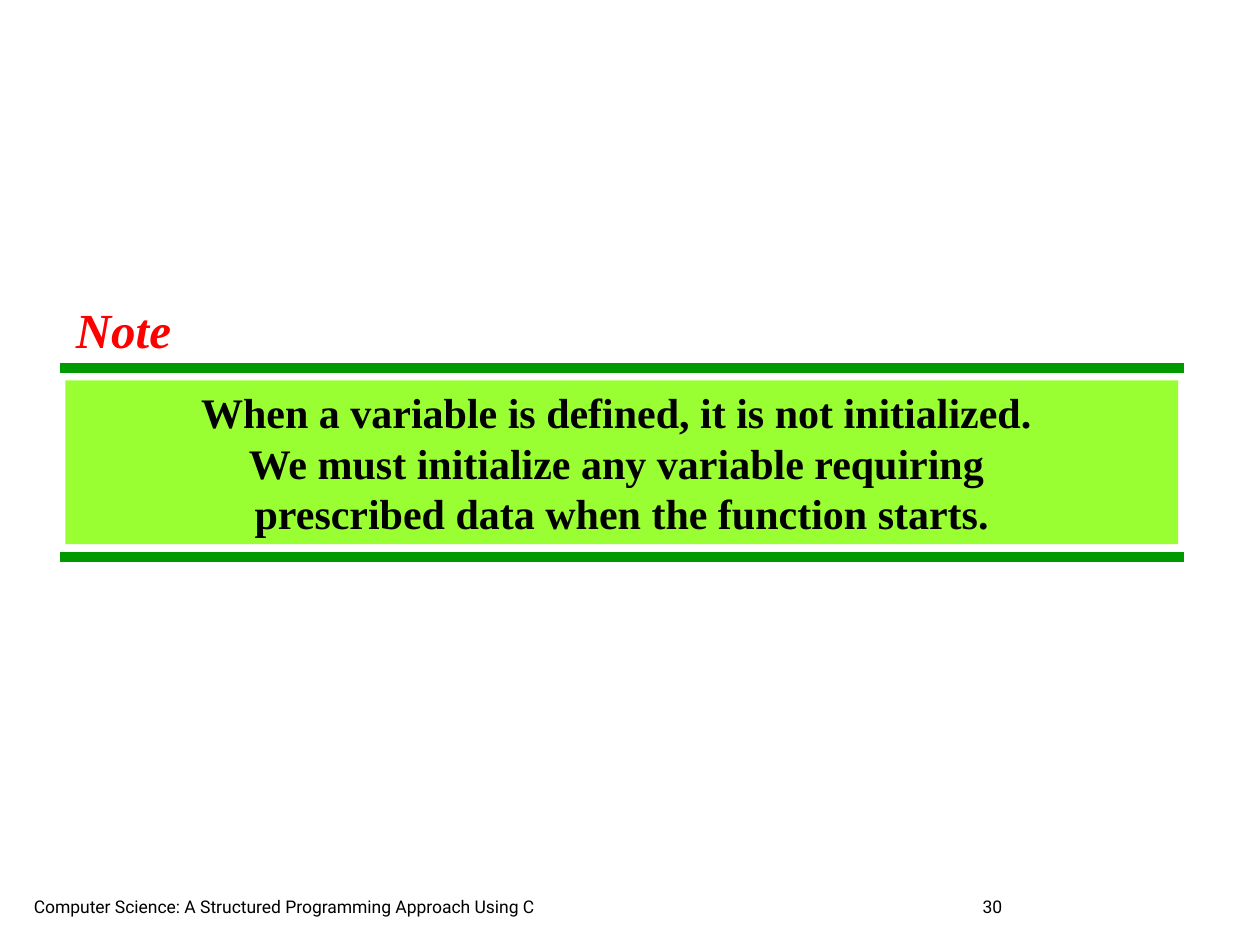
from lxml import etree
from pptx import Presentation
from pptx.dml.color import RGBColor
from pptx.enum import shapes, text
from pptx.oxml.ns import qn
from pptx.util import Inches, Pt

COLORS = {"black": "000000", "red": "FF0000", "rule": "009900", "panel": "99FF33"}
SERIF, SANS = "Times New Roman", "Roboto"

NOTE_LINES = [
    "When a variable is defined, it is not initialized. ",
    "We must initialize any variable requiring ",
    "prescribed data when the function starts.",
]
FOOTERS = [
    ("Computer Science: A Structured Programming Approach Using C", 0.17, 5.67),
    ("30", 7.7, 2.08),
]
RULE_LEFT, RULE_RIGHT = 0.48, 9.4
RULE_HEIGHTS = [2.92, 4.42]


def color(name):
    return RGBColor.from_string(COLORS[name])


def write(shape, lines, size, font, ink="black", bold=None, italic=None,
          align=None, anchor=text.MSO_ANCHOR.TOP, wrap=True):
    """Fill a shape with one paragraph, its lines parted by line breaks."""
    frame = shape.text_frame
    frame.word_wrap = wrap
    frame.vertical_anchor = anchor
    paragraph = frame.paragraphs[0]
    paragraph.alignment = align
    for index, line in enumerate(lines):
        if index:
            paragraph.add_line_break()
        run = paragraph.add_run()
        run.text = line
        run.font.size = Pt(size)
        run.font.name = font
        run.font.bold = bold
        run.font.italic = italic
        run.font.color.rgb = color(ink)


def add_rule(slide, y):
    rule = slide.shapes.add_connector(
        shapes.MSO_CONNECTOR.STRAIGHT,
        Inches(RULE_LEFT), Inches(y), Inches(RULE_RIGHT), Inches(y))
    rule.line.color.rgb = color("rule")
    rule.line.width = Pt(6)
    etree.SubElement(rule._element.spPr, qn("a:effectLst"))


def main():
    presentation = Presentation()
    presentation.slide_width, presentation.slide_height = Inches(10), Inches(7.5)
    slide = presentation.slides.add_slide(presentation.slide_layouts[6])

    for label, left, width in FOOTERS:
        footer = slide.shapes.add_textbox(
            Inches(left), Inches(6.83), Inches(width), Inches(0.5))
        write(footer, [label], 10, SANS, anchor=text.MSO_ANCHOR.BOTTOM)

    for y in RULE_HEIGHTS:
        add_rule(slide, y)

    panel = slide.shapes.add_shape(
        shapes.MSO_SHAPE.RECTANGLE,
        Inches(0.52), Inches(3.02), Inches(8.83), Inches(1.3))
    panel.shadow.inherit = False
    panel.fill.solid()
    panel.fill.fore_color.rgb = color("panel")
    panel.line.fill.background()
    write(panel, NOTE_LINES, 24, SERIF, bold=True, align=text.PP_ALIGN.CENTER)

    heading = slide.shapes.add_textbox(
        Inches(0.5), Inches(2.33), Inches(0.96), Inches(0.57))
    write(heading, ["Note"], 28, SERIF, "red", bold=True, italic=True,
          align=text.PP_ALIGN.CENTER, wrap=False)

    presentation.save("out.pptx")


if __name__ == "__main__":
    main()
